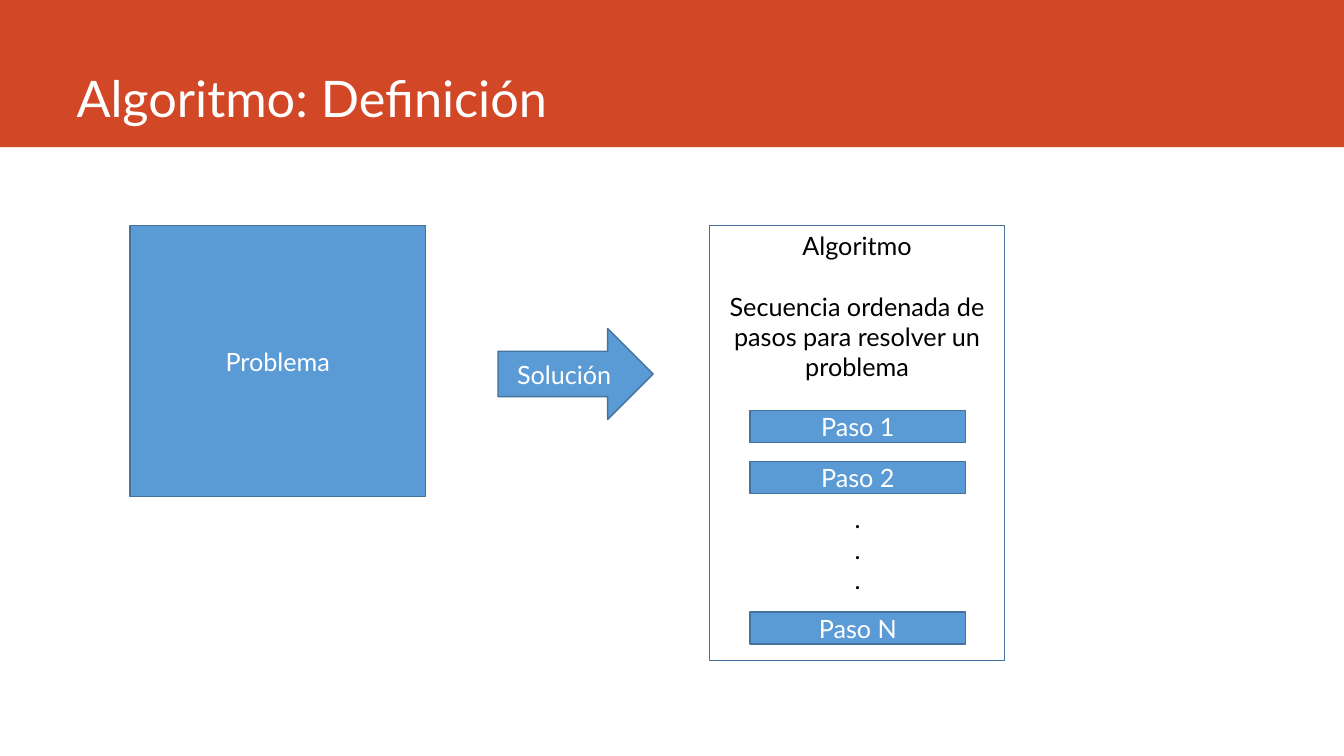
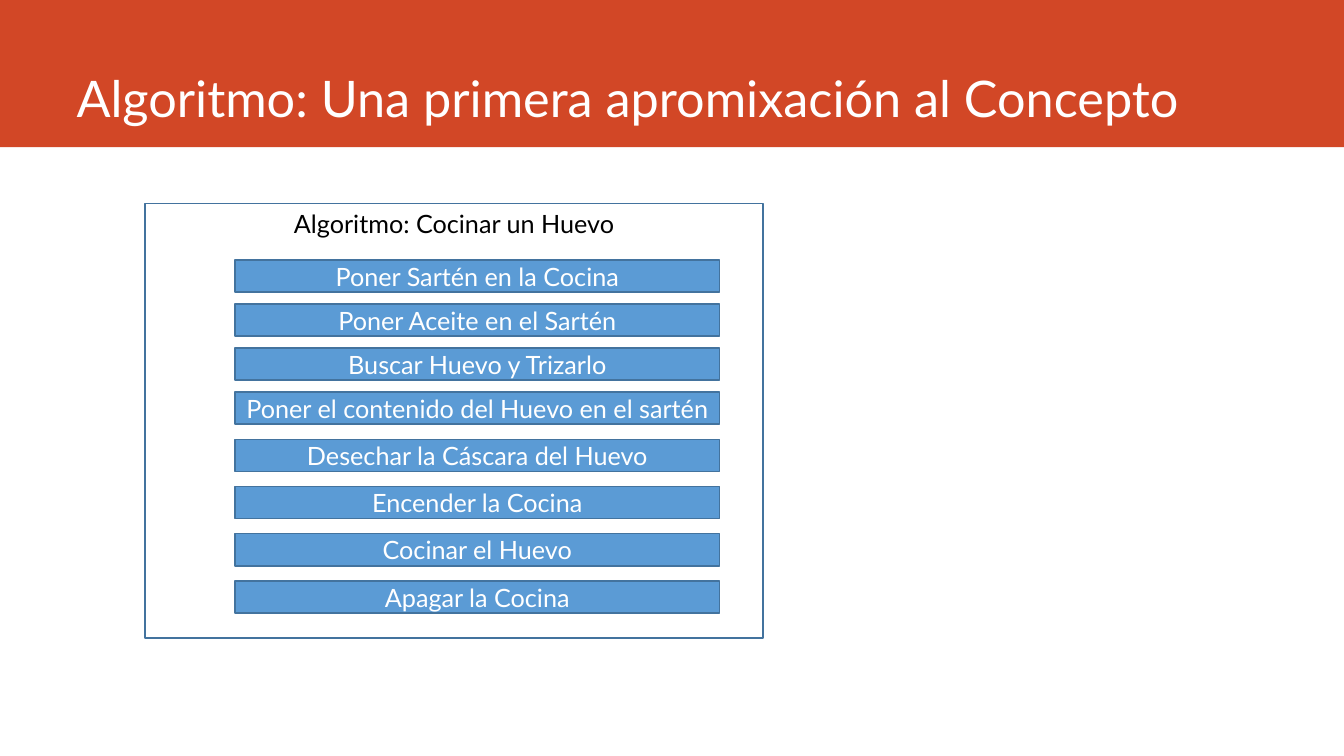
import pptx
import pptx.util
import pptx.dml.color
import pptx.enum.shapes
import pptx.enum.text
from dataclasses import dataclass

Cm = pptx.util.Cm
Pt = pptx.util.Pt
Form = pptx.enum.shapes.MSO_SHAPE
Align = pptx.enum.text.PP_ALIGN
Anchor = pptx.enum.text.MSO_ANCHOR


@dataclass(frozen=True)
class Theme:
    band: str = "D24726"
    fill: str = "5B9BD5"
    edge: str = "43739E"
    light: str = "FFFFFF"
    dark: str = "000000"
    font: str = "Lato"
    head: float = 36
    body: float = 18
    gap: float = 21.6
    line: float = 1


THEME = Theme()
WIDTH, HEIGHT = 33.87, 19.05
BAR = 0.81

SOLVE = {
    "title": "Algoritmo: Definición",
    "blocks": [
        ("Problema", Form.RECTANGLE, (3.28, 5.69, 7.44, 6.83)),
        ("Solución", Form.RIGHT_ARROW, (12.55, 8.28, 3.91, 2.29)),
    ],
    "frame": (17.88, 5.69, 7.44, 10.95),
    "text": ["Algoritmo", "Secuencia ordenada de pasos para resolver un problema"],
    "left": 18.9,
    "width": 5.44,
    "steps": [
        (10.34, 1.29, ["Paso 1", "Paso 2"]),
        (15.42, 0, ["Paso N"]),
    ],
    "dots": (21.29, 12.57, 0.66, 2.57),
}

COOK = {
    "title": "Algoritmo: Una primera apromixación al Concepto",
    "blocks": [],
    "frame": (3.66, 5.13, 15.57, 10.95),
    "text": ["Algoritmo: Cocinar un Huevo"],
    "left": 5.92,
    "width": 12.22,
    "steps": [
        (6.55, 1.11, [
            "Poner Sartén en la Cocina",
            "Poner Aceite en el Sartén",
            "Buscar Huevo y Trizarlo",
            "Poner el contenido del Huevo en el sartén",
        ]),
        (11.07, 1.19, [
            "Desechar la Cáscara del Huevo",
            "Encender la Cocina",
            "Cocinar el Huevo",
            "Apagar la Cocina",
        ]),
    ],
    "dots": None,
}


def tint(code):
    return pptx.dml.color.RGBColor.from_string(code)


def write(shape, text, size=THEME.body, color=THEME.light, align=Align.CENTER,
          anchor=Anchor.MIDDLE, gap=0, wrap=True):
    frame = shape.text_frame
    frame.word_wrap = wrap
    frame.vertical_anchor = anchor
    lines = [text] if isinstance(text, str) else text
    for i, line in enumerate(lines):
        para = frame.add_paragraph() if i else frame.paragraphs[0]
        para.alignment = align
        para.space_before = Pt(gap if i else 0)
        run = para.add_run()
        run.text = line
        run.font.name = THEME.font
        run.font.size = Pt(size)
        run.font.color.rgb = tint(color)


def draw(slide, place, form=Form.RECTANGLE, fill=THEME.fill, edge=THEME.edge):
    shape = slide.shapes.add_shape(form, *map(Cm, place))
    shape.shadow.inherit = False
    if fill:
        shape.fill.solid()
        shape.fill.fore_color.rgb = tint(fill)
    else:
        shape.fill.background()
    if edge:
        shape.line.color.rgb = tint(edge)
        shape.line.width = Pt(THEME.line)
    else:
        shape.line.fill.background()
    return shape


def label(slide, place, text, **style):
    write(slide.shapes.add_textbox(*map(Cm, place)), text, **style)


def build(deck, page):
    slide = deck.slides.add_slide(deck.slide_layouts[6])
    draw(slide, (0, 0, WIDTH, 3.71), fill=THEME.band, edge=None)
    label(slide, (1.68, 0, 29.87, 3.35), page["title"], size=THEME.head,
          align=Align.LEFT, anchor=Anchor.BOTTOM)
    for text, form, place in page["blocks"]:
        write(draw(slide, place, form), text)
    write(draw(slide, page["frame"], fill=None), page["text"],
          color=THEME.dark, anchor=Anchor.TOP, gap=THEME.gap)
    for top, pitch, names in page["steps"]:
        for i, name in enumerate(names):
            place = (page["left"], top + i * pitch, page["width"], BAR)
            write(draw(slide, place), name)
    if page["dots"]:
        label(slide, page["dots"], [".", ".", "."], color=THEME.dark,
              align=Align.LEFT, anchor=Anchor.TOP, wrap=False)


def main():
    deck = pptx.Presentation()
    deck.slide_width, deck.slide_height = Cm(WIDTH), Cm(HEIGHT)
    for page in (SOLVE, COOK):
        build(deck, page)
    deck.save("out.pptx")


if __name__ == "__main__":
    main()
